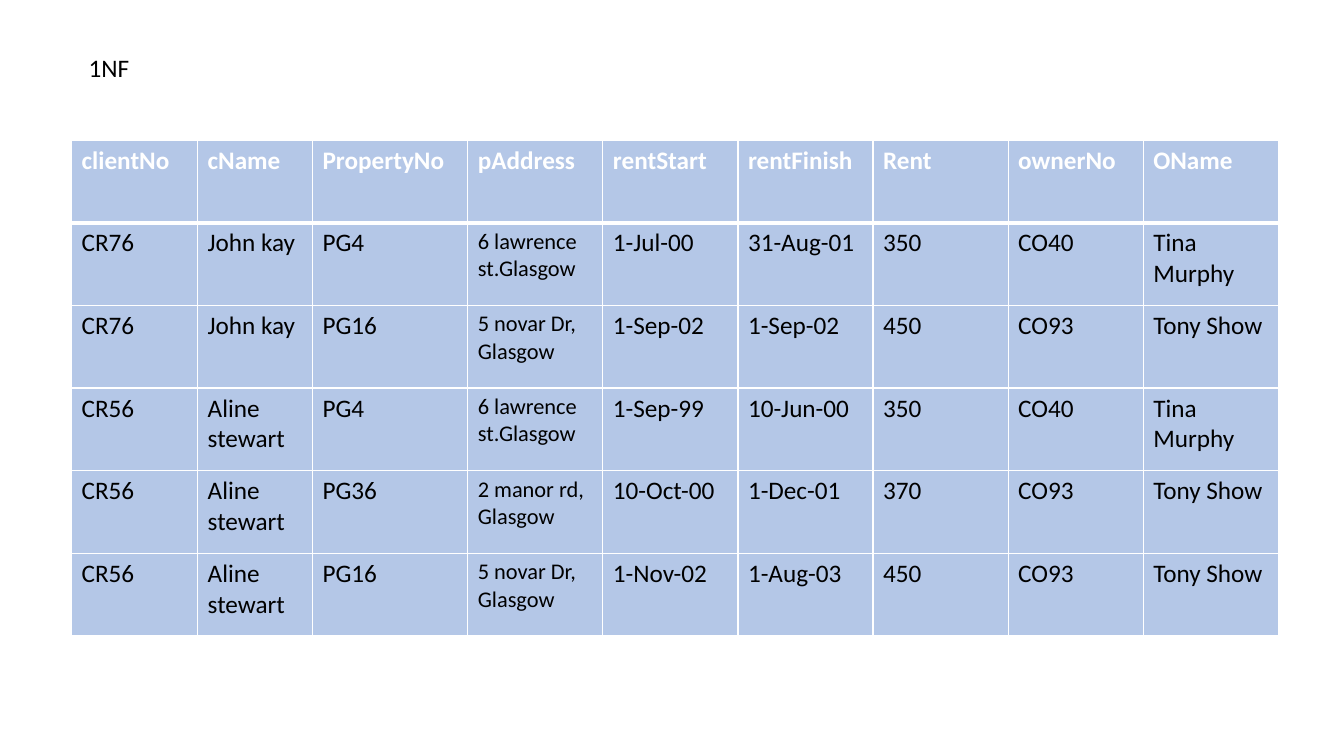
"""Build the 1NF slide: a heading above the table of client rentals."""
from lxml import etree
from pptx import Presentation
from pptx.dml.color import RGBColor
from pptx.enum.text import MSO_AUTO_SIZE
from pptx.oxml.ns import qn
from pptx.util import Inches, Pt

TITLE = "1NF"
HEADER = ["clientNo", "cName", "PropertyNo", "pAddress", "rentStart",
          "rentFinish", "Rent", "ownerNo", "OName"]
RENTALS = [
    ["CR76", "John kay", "PG4", "6 lawrence st.Glasgow", "1-Jul-00",
     "31-Aug-01", "350", "CO40", "Tina Murphy"],
    ["CR76", "John kay", "PG16", "5 novar Dr,\nGlasgow", "1-Sep-02",
     "1-Sep-02", "450", "CO93", "Tony Show"],
    ["CR56", "Aline stewart", "PG4", "6 lawrence st.Glasgow", "1-Sep-99",
     "10-Jun-00", "350", "CO40", "Tina Murphy"],
    ["CR56", "Aline stewart", "PG36", "2 manor rd, Glasgow", "10-Oct-00",
     "1-Dec-01", "370", "CO93", "Tony Show"],
    ["CR56", "Aline stewart", "PG16", "5 novar Dr,\nGlasgow", "1-Nov-02",
     "1-Aug-03", "450", "CO93", "Tony Show"],
]
ROWS = [HEADER] + RENTALS
COL_WIDTHS = [1.25, 1.14, 1.54] + [1.34] * 6
ROW_HEIGHT = 0.82
ADDRESS_COL = HEADER.index("pAddress")

FONT = "Calibri"
BLACK = RGBColor(0x00, 0x00, 0x00)
WHITE = RGBColor(0xFF, 0xFF, 0xFF)
PALE_BLUE = RGBColor(0xB4, 0xC7, 0xE7)
FIT_SHAPE = MSO_AUTO_SIZE.SHAPE_TO_FIT_TEXT


def write(tf, text, size, color, bold=False):
    """Fill a text frame, one paragraph a line, in a single style."""
    tf.text = text
    for p in tf.paragraphs:
        p.font.name, p.font.size, p.font.bold = FONT, Pt(size), bold
        p.font.color.rgb = color


def add_borders(cell, **widths):
    """Give a cell white borders of the given widths in points."""
    tcPr = cell._tc.get_or_add_tcPr()
    for side, width in widths.items():
        ln = etree.SubElement(tcPr, qn(f"a:ln{side}"), w=str(Pt(width)))
        fill = etree.SubElement(ln, qn("a:solidFill"))
        etree.SubElement(fill, qn("a:srgbClr"), val=str(WHITE))


prs = Presentation()
prs.slide_width, prs.slide_height = Inches(13.33), Inches(7.5)
s = prs.slides.add_slide(prs.slide_layouts[6])

title = s.shapes.add_textbox(Inches(0.78), Inches(0.47), Inches(12.06), Inches(0.4))
title.text_frame.word_wrap = True
title.text_frame.auto_size = FIT_SHAPE
write(title.text_frame, TITLE, 18, BLACK)

table = s.shapes.add_table(
    len(ROWS), len(HEADER), Inches(0.71), Inches(1.39),
    Inches(sum(COL_WIDTHS)), Inches(ROW_HEIGHT * len(ROWS))).table
for column, width in zip(table.columns, COL_WIDTHS):
    column.width = Inches(width)
for i, values in enumerate(ROWS):
    table.rows[i].height = Inches(ROW_HEIGHT)
    is_header = i == 0
    for j, value in enumerate(values):
        cell = table.cell(i, j)
        size = 16 if j == ADDRESS_COL and not is_header else 18
        write(cell.text_frame, value, size, WHITE if is_header else BLACK, is_header)
        add_borders(cell, L=1, R=1, T=3 if i == 1 else 1, B=3 if is_header else 1)
        cell.fill.solid()
        cell.fill.fore_color.rgb = PALE_BLUE

prs.save("out.pptx")
